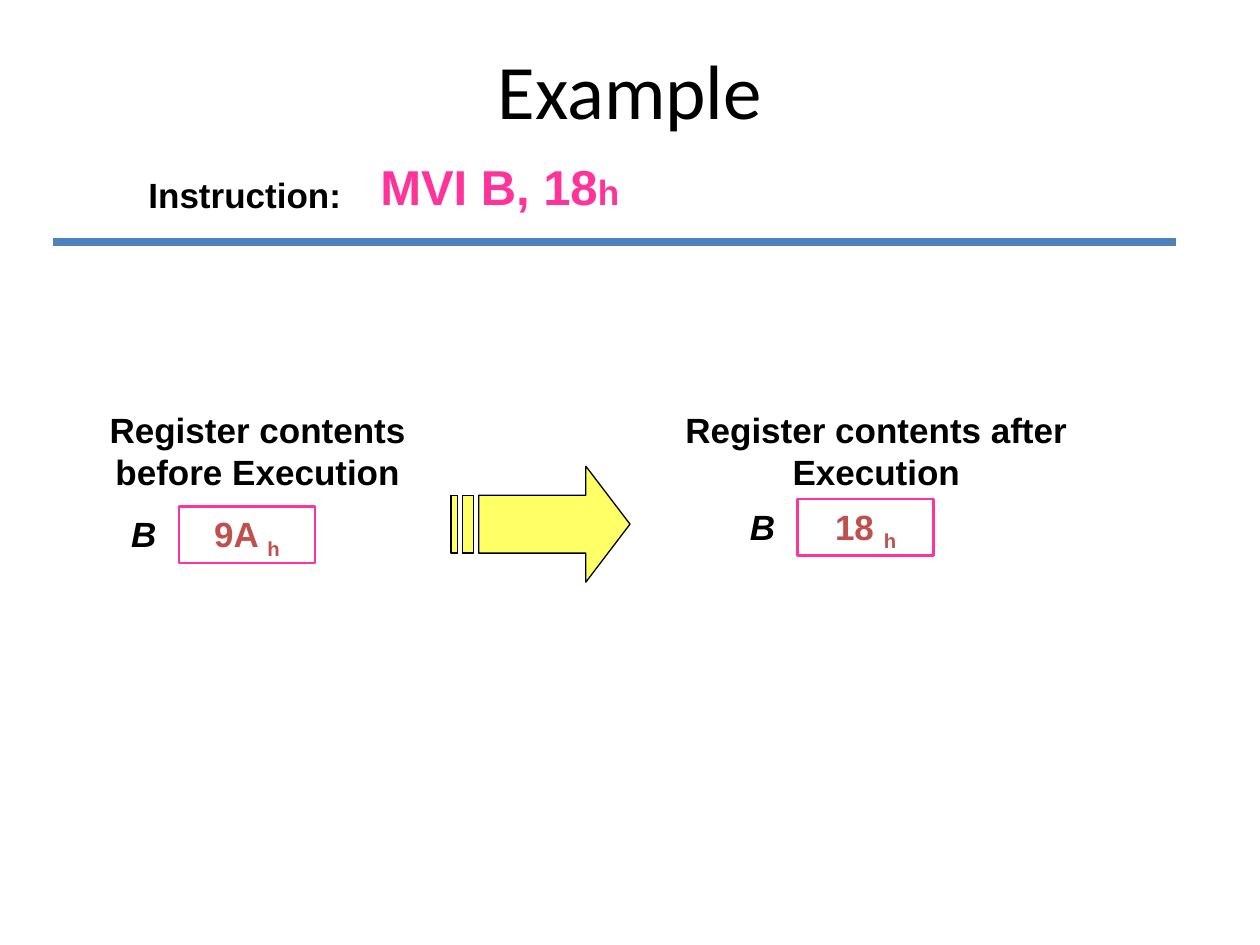
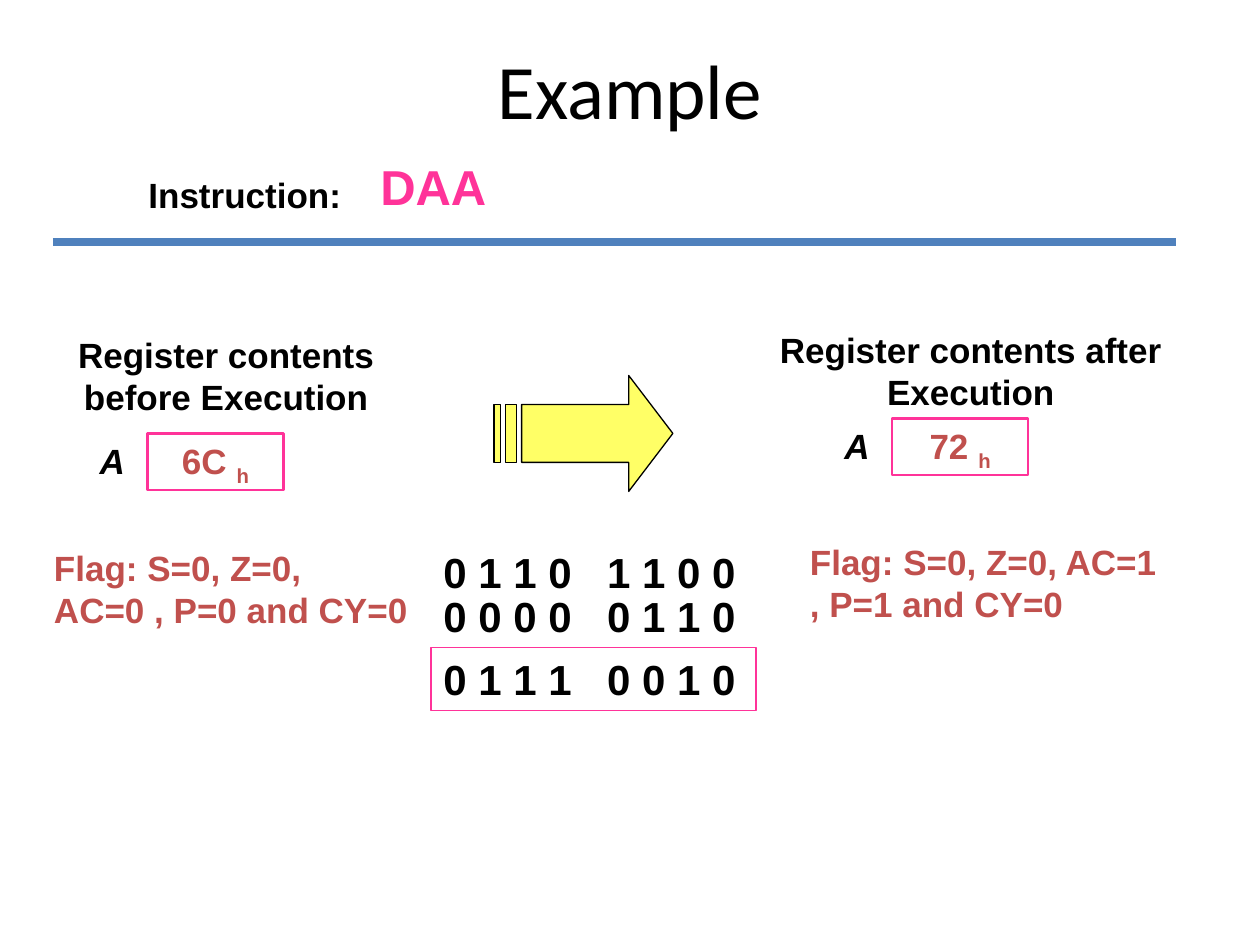
"""Build two slides that show register contents before and after an instruction."""
from dataclasses import dataclass
from typing import Any, NamedTuple

import lxml.etree
import pptx
import pptx.dml.color
import pptx.enum.shapes
import pptx.enum.text
import pptx.oxml.ns
import pptx.util

Inches = pptx.util.Inches
Align = pptx.enum.text.PP_ALIGN
Anchor = pptx.enum.text.MSO_ANCHOR

BLACK, PINK, RED = "000000", "FF3399", "C0504D"
BLUE, YELLOW = "4F81BD", "FFFF66"

ARROW_UNIT = Inches(0.01)
ARROW_BAND = (23, 69)
ARROW_STRIPES = ((9, 18), (0, 5))
ARROW_HEAD = [(107, 0), (107, 23), (22, 23), (22, 69), (107, 69), (107, 92), (142, 46)]


class Box(NamedTuple):
    """Left, top, width and height in inches."""
    left: float
    top: float
    width: float
    height: float


@dataclass(frozen=True)
class Label:
    """A piece of text with an optional outline and smaller suffix."""
    text: str
    box: Box
    size: float = 20
    color: str = BLACK
    align: Any = Align.LEFT
    italic: bool = False
    bold: bool = True
    font: str = "Arial"
    anchor: Any = Anchor.TOP
    grow: bool = True
    outline: float = 0
    suffix: str = ""
    subscript: bool = False
    tab: float = 0


@dataclass(frozen=True)
class Register:
    """The contents of one register before or after execution."""
    moment: str
    name: str
    value: str
    left: float
    top: float
    value_top: float


@dataclass(frozen=True)
class Example:
    """Everything that differs from one example slide to the next."""
    instruction: str
    suffix: str
    arrow_left: float
    arrow_top: float
    registers: tuple[Register, ...]
    notes: tuple[Label, ...] = ()


def rgb(color: str) -> pptx.dml.color.RGBColor:
    """Turn a hex string into a colour."""
    return pptx.dml.color.RGBColor.from_string(color)


def add_tab_stop(paragraph: Any, position: float) -> None:
    """Give the paragraph one left tab stop."""
    properties = paragraph._p.get_or_add_pPr()
    tabs = lxml.etree.SubElement(properties, pptx.oxml.ns.qn("a:tabLst"))
    lxml.etree.SubElement(tabs, pptx.oxml.ns.qn("a:tab"),
                          pos=str(Inches(position)), algn="l")


def add_label(shapes: Any, label: Label) -> None:
    """Draw a label as a text box, or as a rectangle when it has an outline."""
    place = [Inches(length) for length in label.box]
    if label.outline:
        shape = shapes.add_shape(pptx.enum.shapes.MSO_SHAPE.RECTANGLE, *place)
        shape.shadow.inherit = False
        shape.fill.background()
        shape.line.color.rgb = rgb(PINK)
        shape.line.width = pptx.util.Pt(label.outline)
    else:
        shape = shapes.add_textbox(*place)
    frame = shape.text_frame
    frame.word_wrap = True
    frame.vertical_anchor = label.anchor
    if label.grow:
        frame.auto_size = pptx.enum.text.MSO_AUTO_SIZE.SHAPE_TO_FIT_TEXT
    frame.text = label.text
    paragraph = frame.paragraphs[0]
    paragraph.alignment = label.align
    if label.tab:
        add_tab_stop(paragraph, label.tab)
    if label.suffix:
        paragraph.add_run().text = label.suffix
    for run in paragraph.runs:
        run.font.name = label.font
        run.font.size = pptx.util.Pt(label.size)
        run.font.bold = label.bold
        run.font.italic = label.italic
        run.font.color.rgb = rgb(label.color)
    if label.subscript:
        paragraph.runs[-1]._r.get_or_add_rPr().set("baseline", "-25000")
    elif label.suffix:
        paragraph.runs[-1].font.size = pptx.util.Pt(20)


def add_header(slide: Any, example: Example) -> None:
    """Draw the title, the instruction and the rule below them."""
    add_label(slide.shapes, Label("Example", Box(0.75, 0.08, 8.5, 1.25), 44, align=Align.CENTER,
                                  bold=False, font="Calibri", anchor=Anchor.MIDDLE, grow=False))
    add_label(slide.shapes, Label("Instruction:", Box(1.08, 1.33, 1.83, 0.43)))
    add_label(slide.shapes, Label(example.instruction, Box(2.92, 1.19, 2.33, 0.57), 28, PINK,
                                  suffix=example.suffix))
    rule = slide.shapes.add_connector(pptx.enum.shapes.MSO_CONNECTOR.STRAIGHT, Inches(0.42),
                                      Inches(1.92), Inches(9.33), Inches(1.92))
    rule.line.color.rgb = rgb(BLUE)
    rule.line.width = pptx.util.Pt(4.5)
    lxml.etree.SubElement(rule._element.spPr, pptx.oxml.ns.qn("a:effectLst"))


def add_striped_arrow(slide: Any, left: float, top: float) -> None:
    """Draw the arrow and its two trailing stripes as one outline."""
    upper, lower = ARROW_BAND
    stripes = [[(start, upper), (start, lower), (end, lower), (end, upper)]
               for start, end in ARROW_STRIPES]
    builder = slide.shapes.build_freeform(*ARROW_HEAD[0], scale=ARROW_UNIT)
    builder.add_line_segments(ARROW_HEAD[1:], close=True)
    for stripe in stripes:
        builder.move_to(*stripe[0])
        builder.add_line_segments(stripe[1:], close=True)
    arrow = builder.convert_to_shape(Inches(left), Inches(top))
    arrow.shadow.inherit = False
    arrow.fill.solid()
    arrow.fill.fore_color.rgb = rgb(YELLOW)
    arrow.line.color.rgb = rgb(BLACK)
    arrow.line.width = pptx.util.Pt(0.75)


def add_register(slide: Any, register: Register) -> None:
    """Draw a heading above a register name and its boxed value as a group."""
    shapes = slide.shapes.add_group_shape().shapes
    left, top = register.left, register.value_top
    add_label(shapes, Label(f"Register contents {register.moment} Execution",
                            Box(left, register.top, 3.25, 0.77), align=Align.CENTER))
    add_label(shapes, Label(f"{register.value} ", Box(left + 1, top, 1.08, 0.45), color=RED,
                            align=Align.CENTER, outline=1.5, suffix="h", subscript=True))
    add_label(shapes, Label(register.name, Box(left, top, 0.92, 0.43),
                            align=Align.RIGHT, italic=True))


def binary(text: str, top: float, width: float = 2.92, outline: float = 0) -> Label:
    """Describe one row of the binary addition."""
    return Label(text, Box(3.42, top, width, 0.5), 24, outline=outline, tab=1.3)


EXAMPLES = (
    Example("MVI B, 18", "h", 3.58, 3.7, (
        Register("before", "B", "9A", 0.42, 3.19, 4.02),
        Register("after", "B", "18", 5.33, 3.19, 3.96))),
    Example("DAA", "", 3.92, 2.98, (
        Register("before", "A", "6C", 0.17, 2.6, 3.44),
        Register("after", "A", "72", 6.08, 2.56, 3.32)), (
        Label("Flag: S=0, Z=0, AC=0 , P=0 and CY=0", Box(0.33, 4.29, 3.08, 0.77), color=RED),
        binary("0 1 1 0\t1 1 0 0", 4.29),
        binary("0 0 0 0\t0 1 1 0", 4.64),
        binary("0 1 1 1\t0 0 1 0", 5.14, 2.58, 0.75),
        Label("Flag: S=0, Z=0, AC=1 , P=1 and CY=0", Box(6.33, 4.24, 3, 0.77), color=RED))),
)


def main() -> None:
    """Build and save the presentation."""
    presentation = pptx.Presentation()
    presentation.slide_width, presentation.slide_height = Inches(10), Inches(7.5)
    for example in EXAMPLES:
        slide = presentation.slides.add_slide(presentation.slide_layouts[6])
        add_header(slide, example)
        add_striped_arrow(slide, example.arrow_left, example.arrow_top)
        for register in example.registers:
            add_register(slide, register)
        for note in example.notes:
            add_label(slide.shapes, note)
    presentation.save("out.pptx")


if __name__ == "__main__":
    main()
